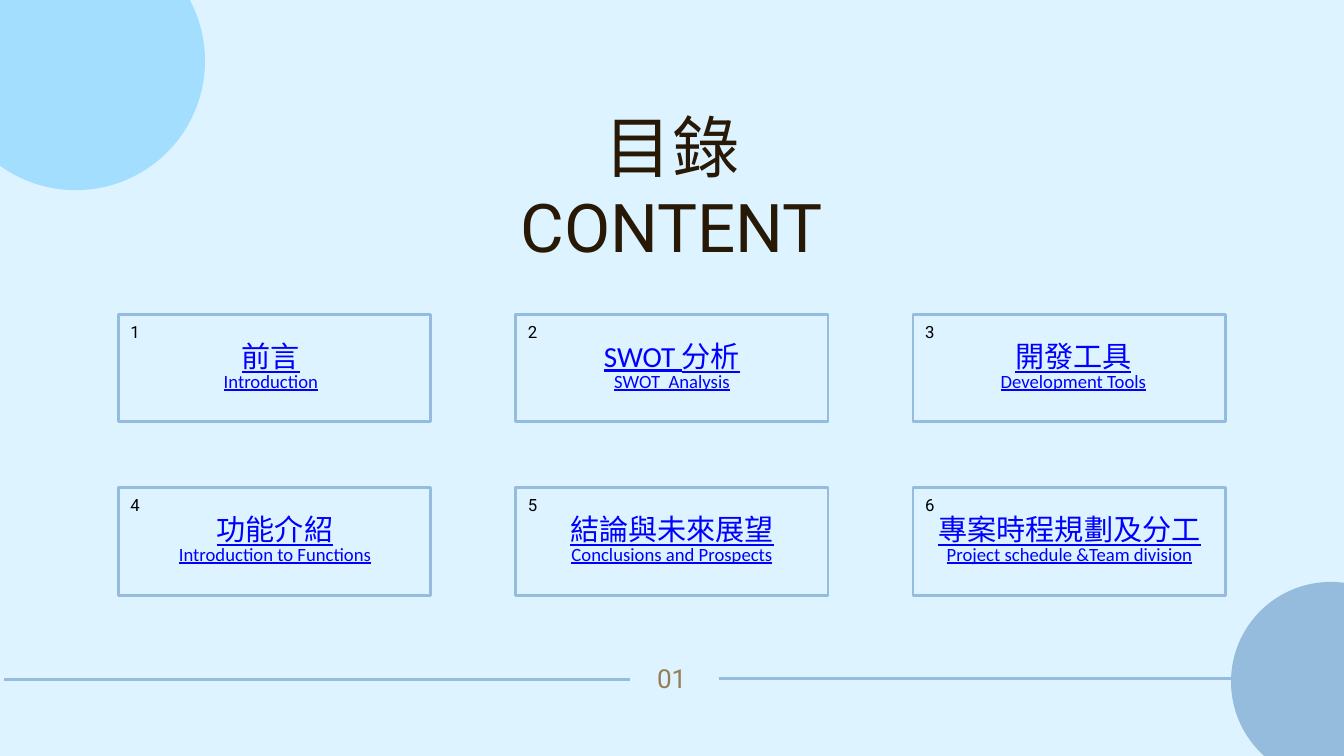
import dataclasses

import lxml.etree
import pptx
import pptx.dml.color
import pptx.enum.shapes
import pptx.enum.text
import pptx.oxml.ns
import pptx.util

Cm = pptx.util.Cm
Pt = pptx.util.Pt


@dataclasses.dataclass(frozen=True)
class Theme:
    background: str = "DDF3FF"
    accent: str = "96BCDD"
    light_accent: str = "A4DEFF"
    heading: str = "271905"
    link: str = "0000FF"
    number: str = "000000"
    page: str = "967D55"
    latin: str = "Roboto"
    label: str = "Calibri"
    title_size: float = 72
    page_size: float = 28
    label_size: float = 31.2
    caption_size: float = 20
    number_size: float = 18
    line_width: float = 3


def rgb(color):
    return pptx.dml.color.RGBColor.from_string(color)


class SlideBuilder:
    def __init__(self, slide, theme):
        self.slide = slide
        self.theme = theme
        slide.background.fill.solid()
        slide.background.fill.fore_color.rgb = rgb(theme.background)

    def circle(self, left, top, diameter, color):
        shape = self.slide.shapes.add_shape(
            pptx.enum.shapes.MSO_SHAPE.OVAL, Cm(left), Cm(top), Cm(diameter), Cm(diameter))
        shape.shadow.inherit = False
        shape.fill.solid()
        shape.fill.fore_color.rgb = rgb(color)
        shape.line.fill.background()

    def frame(self, left, top, width, height):
        shape = self.slide.shapes.add_shape(
            pptx.enum.shapes.MSO_SHAPE.RECTANGLE, Cm(left), Cm(top), Cm(width), Cm(height))
        shape.shadow.inherit = False
        shape.fill.background()
        self.stroke(shape.line)

    def rule(self, start, end, y):
        connector = self.slide.shapes.add_connector(
            pptx.enum.shapes.MSO_CONNECTOR.STRAIGHT, Cm(start), Cm(y), Cm(end), Cm(y))
        self.stroke(connector.line)
        properties = connector._element.spPr
        lxml.etree.SubElement(properties, pptx.oxml.ns.qn("a:effectLst"))

    def stroke(self, line):
        line.color.rgb = rgb(self.theme.accent)
        line.width = Pt(self.theme.line_width)

    def text(self, left, top, width, height, lines, font, color, underline=False):
        shape = self.slide.shapes.add_textbox(Cm(left), Cm(top), Cm(width), Cm(height))
        self.fill_text(shape, lines, font, color, underline)

    def heading(self, placeholder, top, text, font):
        placeholder.left, placeholder.top = Cm(11.98), Cm(top)
        placeholder.width, placeholder.height = Cm(26.84), Cm(3.22)
        size = self.theme.title_size
        self.fill_text(placeholder, [(text, size, size * 1.2)], font, self.theme.heading)

    def fill_text(self, shape, lines, font, color, underline=False):
        frame = shape.text_frame
        frame.word_wrap = True
        frame.auto_size = pptx.enum.text.MSO_AUTO_SIZE.SHAPE_TO_FIT_TEXT
        frame.vertical_anchor = pptx.enum.text.MSO_ANCHOR.TOP
        frame.margin_left = frame.margin_right = frame.margin_top = frame.margin_bottom = 0
        frame.text = "\n".join(text for text, _, _ in lines)
        for paragraph, (_, size, spacing) in zip(frame.paragraphs, lines):
            paragraph.alignment = pptx.enum.text.PP_ALIGN.CENTER
            paragraph.line_spacing = Pt(spacing)
            paragraph.space_before = Pt(0)
            paragraph.font.name = font
            paragraph.font.size = Pt(size)
            paragraph.font.color.rgb = rgb(color)
            if underline:
                paragraph.font.underline = True

    def topic(self, index, label, caption, label_left, label_width):
        theme = self.theme
        row, column = divmod(index, 3)
        left, top = 4.47 + 15.02 * column, 11.89 + 6.55 * row
        self.frame(left, top, 11.81, 4.06)
        lines = [(label, theme.label_size, theme.label_size),
                 (caption, theme.caption_size, theme.caption_size)]
        self.text(label_left, top + 1.12, label_width, 1.88, lines,
                  theme.label, theme.link, underline=True)
        size = theme.number_size
        self.text(left + 0.46, top + 0.14, 0.36, 0.91, [(str(index + 1), size, size * 1.4)],
                  theme.latin, theme.number)


TOPICS = [
    ("前言", "Introduction", 6.2, 8.08),
    ("SWOT 分析", "SWOT  Analysis", 21.36, 8.08),
    ("開發工具", "Development Tools", 36.53, 8.08),
    ("功能介紹", "Introduction to Functions", 5.44, 9.91),
    ("結論與未來展望", "Conclusions and Prospects", 21.36, 8.08),
    ("專案時程規劃及分工", "Project schedule &Team division", 35.36, 10.13),
]


def main():
    presentation = pptx.Presentation()
    presentation.slide_width, presentation.slide_height = Cm(50.8), Cm(28.58)
    slide = presentation.slides.add_slide(presentation.slide_layouts[0])
    theme = Theme()
    builder = SlideBuilder(slide, theme)

    builder.heading(slide.shapes.title, 3.99, "目錄", theme.label)
    builder.heading(slide.placeholders[1], 7.01, "CONTENT", theme.latin)
    builder.rule(27.18, 50.8, 25.65)
    builder.rule(0.15, 23.8, 25.7)
    builder.text(23.04, 25.25, 4.7, 1.07, [("01", theme.page_size, theme.page_size)],
                 theme.latin, theme.page)
    builder.circle(46.53, 22, 7.54, theme.accent)
    builder.circle(-2.03, -2.59, 9.78, theme.light_accent)
    for index, topic in enumerate(TOPICS):
        builder.topic(index, *topic)

    presentation.save("out.pptx")


if __name__ == "__main__":
    main()
